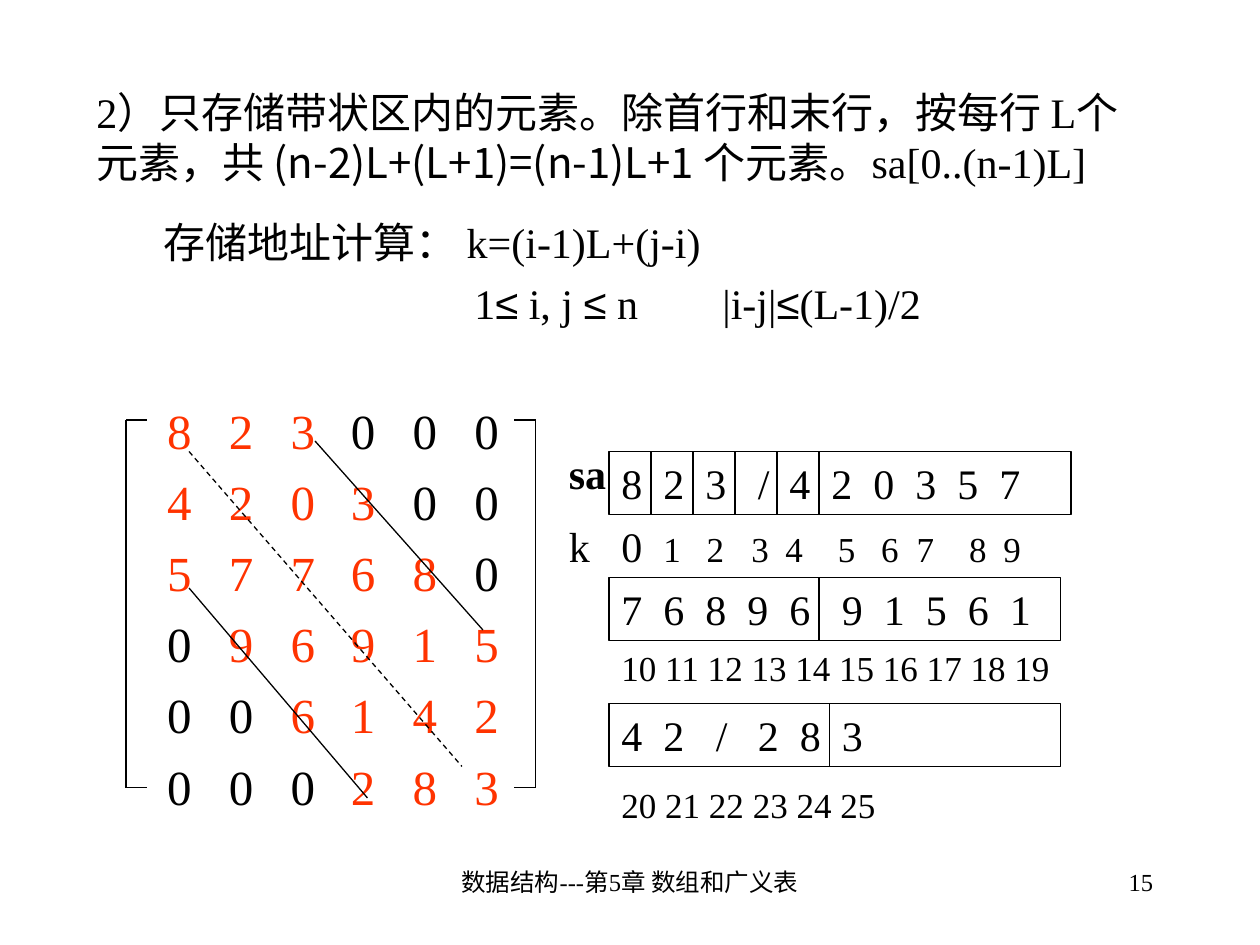
"""Build the slide on compact storage of a band matrix."""
from dataclasses import dataclass
from itertools import groupby
from typing import NamedTuple

from lxml import etree
from pptx import Presentation
from pptx import util as u
from pptx.dml.color import RGBColor
from pptx.enum import dml, shapes, text
from pptx.oxml import ns

PX = 9525
HUES = {"ink": "000000", "band": "FF3300"}
SERIF, SANS, CJK = "Times New Roman", "Arial", "Noto Sans CJK SC"


class Bit(NamedTuple):
    words: str
    size: int = 24
    font: str = SERIF
    hue: str = "ink"
    bold: bool = False


class Line(NamedTuple):
    x1: int
    y1: int
    x2: int
    y2: int
    dash: bool = False


@dataclass
class Para:
    bits: list[Bit]
    tabs: tuple[int, ...] = ()
    before: float = 0
    align: text.PP_ALIGN = text.PP_ALIGN.LEFT


@dataclass
class Box:
    left: int
    top: int
    width: int
    height: int
    paras: list[Para]
    framed: bool = False
    anchor: text.MSO_ANCHOR = text.MSO_ANCHOR.TOP


def set_tabs(para, stops: tuple[int, ...]) -> None:
    """Give a paragraph its left tab stops."""
    props = para._p.get_or_add_pPr()
    holder = etree.SubElement(props, ns.qn("a:tabLst"))
    for stop in stops:
        etree.SubElement(holder, ns.qn("a:tab"), pos=str(stop * PX), algn="l")


def fill_para(para, data: Para) -> None:
    """Write the runs of one paragraph and format them."""
    if data.tabs:
        set_tabs(para, data.tabs)
    para.alignment = data.align
    para.space_before = u.Pt(data.before)
    for bit in data.bits:
        run = para.add_run()
        run.text = bit.words
        run.font.size = u.Pt(bit.size)
        run.font.name = bit.font
        run.font.bold = bit.bold
        run.font.color.rgb = RGBColor.from_string(HUES[bit.hue])


def draw_box(slide, box: Box) -> None:
    """Draw a text box or a framed rectangle."""
    place = [n * PX for n in (box.left, box.top, box.width, box.height)]
    if box.framed:
        shape = slide.shapes.add_shape(shapes.MSO_SHAPE.RECTANGLE, *place)
        shape.shadow.inherit = False
        shape.fill.background()
        shape.line.color.rgb = RGBColor.from_string(HUES["ink"])
        shape.line.width = u.Pt(0.75)
    else:
        shape = slide.shapes.add_textbox(*place)
    frame = shape.text_frame
    frame.word_wrap = True
    frame.vertical_anchor = box.anchor
    for n, data in enumerate(box.paras):
        fill_para(frame.add_paragraph() if n else frame.paragraphs[0], data)


def draw_line(slide, line: Line) -> None:
    """Draw a thin straight line."""
    ends = [n * PX for n in line[:4]]
    link = slide.shapes.add_connector(shapes.MSO_CONNECTOR.STRAIGHT, *ends)
    link.line.color.rgb = RGBColor.from_string(HUES["ink"])
    link.line.width = u.Pt(0.75)
    if line.dash:
        link.line.dash_style = dml.MSO_LINE.DASH
    etree.SubElement(link._element.spPr, ns.qn("a:effectLst"))


def band_rows(grid: list[str], half: int) -> list[Para]:
    """Make matrix rows with the cells inside the band in red."""
    tabs = tuple(int(46.67 * n) for n in range(1, 7))
    rows = []
    for i, row in enumerate(grid):
        parts = groupby(enumerate(row), lambda cell: abs(i - cell[0]) <= half)
        bits = [Bit("".join("\t" + cell for _, cell in part), 28,
                    hue="band" if inside else "ink") for inside, part in parts]
        rows.append(Para(bits, tabs, 7 if i else 41.8))
    return rows


def store_row(top: int, width: int, cells: str, tabs: tuple[int, ...]) -> Box:
    """Make one framed row of the storage array."""
    return Box(464, top, width, 48, [Para([Bit("\t".join(cells))], tabs)], True)


MATRIX = ["823000", "420300", "577680", "096915", "006142", "000283"]
TITLE = [Bit("2）只存储带状区内的元素。除首行和末行，按每行 L个元素，共 "),
         Bit("(n-2)L+(L+1)=(n-1)L+1 ", font=CJK), Bit("个元素。sa[0..(n-1)L]")]
LE = Bit("≤", font=SANS)
RANGE = [Bit("\t1"), LE, Bit(" i, j "), LE, Bit(" n\t|i-j|"), LE, Bit("(L-1)/2")]
BODY = [Para([Bit("\t存储地址计算： k=(i-1)L+(j-i)")], (43,)),
        Para(RANGE, (280, 469), 6), *band_rows(MATRIX, 2)]
KEYS = [Bit("k\t0\t"), Bit(" \t".join(map(str, range(1, 10))), 20)]

BOXES = [
    Box(328, 656, 304, 48, [Para([Bit("数据结构---第5章 数组和广义表", 14)],
                                 align=text.PP_ALIGN.CENTER)]),
    Box(688, 656, 200, 48, [Para([Bit("15", 14)], align=text.PP_ALIGN.RIGHT)]),
    Box(64, 64, 816, 80, [Para(TITLE)], anchor=text.MSO_ANCHOR.MIDDLE),
    Box(72, 160, 816, 488, BODY),
    store_row(344, 352, "823/420357", (32, 64, 104, *range(128, 289, 32))),
    store_row(440, 344, "7689691561", (32, 64, 96, 128, *range(168, 297, 32))),
    store_row(536, 344, "42/283", (32, *range(72, 169, 32))),
    Box(424, 336, 48, 48, [Para([Bit("sa", bold=True)])]),
    Box(424, 392, 392, 48,
        [Para(KEYS, (40, 72, 105, 139, 165, 205, 238, 265, 305, 331))]),
    Box(464, 488, 352, 42, [Para([Bit(" ".join(map(str, range(10, 20))), 20)])]),
    Box(464, 592, 232, 42, [Para([Bit(" ".join(map(str, range(20, 26))), 20)])]),
]

LINES = [Line(x, 320, x, 600) for x in (96, 408)]
LINES += [Line(x, y, x + tick, y)
          for x, tick in ((96, 16), (408, -16)) for y in (320, 600)]
LINES += [Line(x, 344, x, 392) for x in range(496, 625, 32)]
LINES += [Line(624, 440, 624, 488), Line(632, 536, 632, 584),
          Line(240, 336, 368, 480), Line(144, 448, 280, 608),
          Line(144, 344, 352, 584, True)]


def main() -> None:
    """Build and save the deck."""
    deck = Presentation()
    deck.slide_width, deck.slide_height = 960 * PX, 720 * PX
    slide = deck.slides.add_slide(deck.slide_layouts[6])
    for box in BOXES:
        draw_box(slide, box)
    for line in LINES:
        draw_line(slide, line)
    deck.save("out.pptx")


if __name__ == "__main__":
    main()
